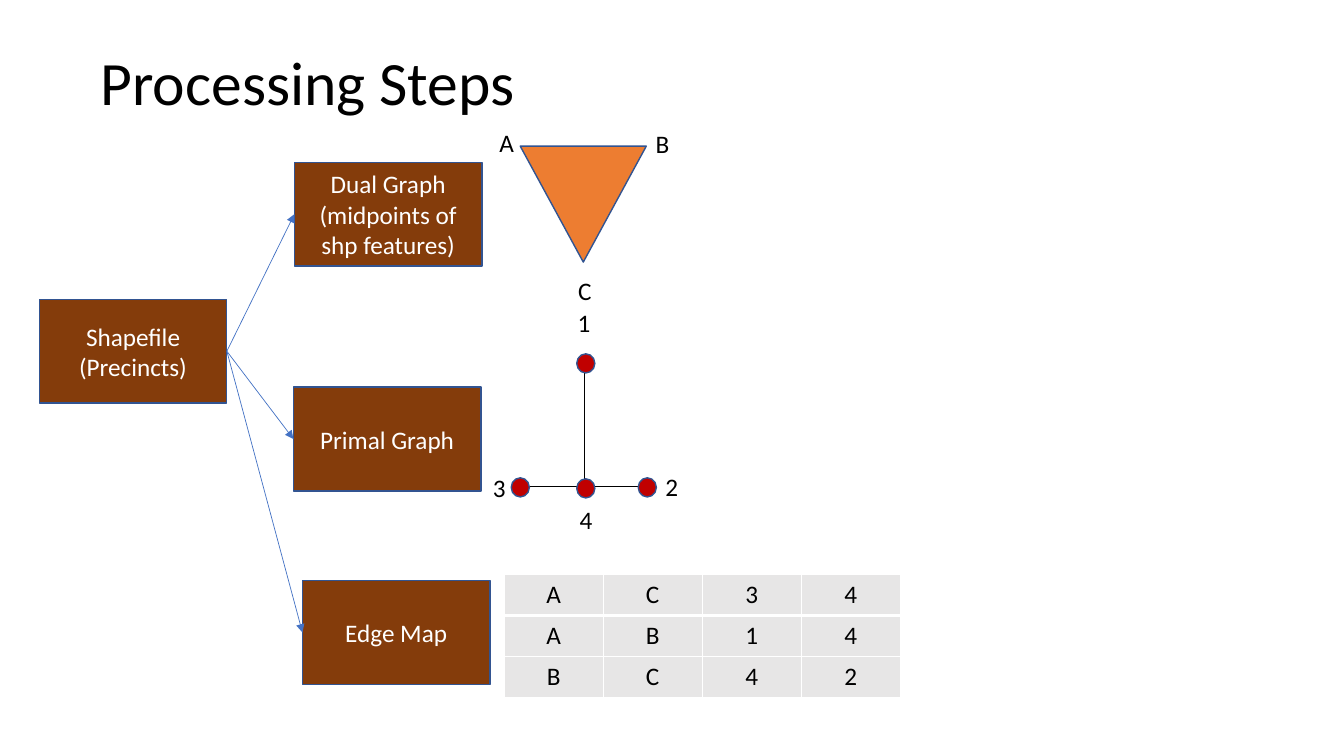
"""Build the Processing Steps slide with its flow boxes, graphs and edge table."""
from dataclasses import dataclass

from lxml import etree
from pptx import Presentation
from pptx.dml.color import RGBColor
from pptx.enum.shapes import MSO_CONNECTOR, MSO_SHAPE
from pptx.enum.text import MSO_ANCHOR, PP_ALIGN
from pptx.oxml.ns import qn
from pptx.util import Inches, Pt

STRAIGHT = MSO_CONNECTOR.STRAIGHT
RECTANGLE, OVAL, TRIANGLE = MSO_SHAPE.RECTANGLE, MSO_SHAPE.OVAL, MSO_SHAPE.ISOSCELES_TRIANGLE
MIDDLE = MSO_ANCHOR.MIDDLE
LEFT, CENTER = PP_ALIGN.LEFT, PP_ALIGN.CENTER
LEFT_SITE, RIGHT_SITE = 1, 3

COLORS = {
    "black": "000000",
    "white": "FFFFFF",
    "brown": "843C0B",
    "outline": "325491",
    "arrow": "4472C4",
    "cell": "E7E6E6",
    "node": "C00000",
    "feature": "ED7D31",
}
BODY_FORMAT = {"name": "Calibri", "size": Pt(18), "bold": False}
TITLE_FORMAT = {**BODY_FORMAT, "size": Pt(44)}
BOX_SIZE = (1.86, 1.03)
NODE_SIZE = (0.18, 0.19)


@dataclass(frozen=True)
class Step:
    left: float
    top: float
    lines: tuple[str, ...]


@dataclass(frozen=True)
class Label:
    text: str
    left: float
    top: float
    width: float = 0.33
    align: PP_ALIGN = LEFT
    wrap: bool = True


@dataclass(frozen=True)
class Edge:
    begin: tuple[float, float]
    end: tuple[float, float]


SOURCE = Step(0.39, 2.97, ("Shapefile", "(Precincts)"))
RESULTS = [
    Step(3, 5.76, ("Edge Map",)),
    Step(2.91, 3.84, ("Primal Graph",)),
    Step(2.92, 1.61, ("Dual Graph", "(midpoints of shp features)")),
]
EDGES = [Edge((5.8, 3.58), (5.8, 4.83)), Edge((5.18, 4.83), (6.43, 4.83))]
NODES = [(5.72, 4.75), (5.07, 4.74), (5.72, 3.51), (6.33, 4.74)]
LABELS = [
    Label("1", 5.63, 3),
    Label("4", 5.65, 4.95),
    Label("3", 4.79, 4.64),
    Label("2", 6.5, 4.63),
    Label("A", 4.85, 1.21, 0.35, CENTER, False),
    Label("B", 6.4, 1.22, 0.34, CENTER, False),
    Label("C", 5.63, 2.68, 0.34, CENTER, False),
]
EDGE_MAP = ["AC34", "AB14", "BC42"]


def color(name: str) -> RGBColor:
    return RGBColor.from_string(COLORS[name])


def write(frame, lines, tone="black", align=LEFT, values=BODY_FORMAT) -> None:
    for index, line in enumerate(lines):
        para = frame.add_paragraph() if index else frame.paragraphs[0]
        para.alignment = align
        span = para.add_run()
        span.text = line
        span.font.color.rgb = color(tone)
        for name, value in values.items():
            setattr(span.font, name, value)


def add_figure(page, kind, place, size, fill: str):
    figure = page.shapes.add_shape(kind, *map(Inches, place + size))
    figure.shadow.inherit = False
    figure.fill.solid()
    figure.fill.fore_color.rgb = color(fill)
    figure.line.color.rgb = color("outline")
    figure.line.width = Pt(1)
    return figure


def add_step(page, step: Step):
    box = add_figure(page, RECTANGLE, (step.left, step.top), BOX_SIZE, "brown")
    box.text_frame.word_wrap = True
    box.text_frame.vertical_anchor = MIDDLE
    write(box.text_frame, step.lines, "white", CENTER)
    return box


def add_line(page, edge: Edge, tone: str):
    line = page.shapes.add_connector(STRAIGHT, *map(Inches, edge.begin + edge.end))
    line.line.color.rgb = color(tone)
    line.line.width = Pt(0.5)
    etree.SubElement(line.get_or_add_ln().getparent(), qn("a:effectLst"))
    return line


def add_arrow(page, source, target) -> None:
    arrow = add_line(page, Edge((0, 0), (1, 1)), "arrow")
    arrow.begin_connect(source, RIGHT_SITE)
    arrow.end_connect(target, LEFT_SITE)
    etree.SubElement(arrow.get_or_add_ln(), qn("a:tailEnd"), type="triangle")


def add_label(page, label: Label) -> None:
    box = page.shapes.add_textbox(*map(Inches, (label.left, label.top, label.width, 0.4)))
    box.text_frame.word_wrap = label.wrap
    write(box.text_frame, [label.text], align=label.align)


def add_border(cell, side: str, points: float) -> None:
    border = etree.SubElement(cell._tc.get_or_add_tcPr(), qn(f"a:ln{side}"), w=str(Pt(points)))
    fill = etree.SubElement(border, qn("a:solidFill"))
    etree.SubElement(fill, qn("a:srgbClr"), val=COLORS["white"])


def add_edge_map(page) -> None:
    size = (len(EDGE_MAP), len(EDGE_MAP[0]))
    table = page.shapes.add_table(*size, *map(Inches, (5, 5.7, 3.93, 1.22))).table
    for row, texts in enumerate(EDGE_MAP):
        for column, text in enumerate(texts):
            cell = table.cell(row, column)
            widths = {"L": 1, "R": 1, "T": 3 if row == 1 else 1, "B": 3 if row == 0 else 1}
            for side, points in widths.items():
                add_border(cell, side, points)
            cell.fill.solid()
            cell.fill.fore_color.rgb = color("cell")
            write(cell.text_frame, [text], align=CENTER)


def add_title(page) -> None:
    box = page.shapes.add_textbox(*map(Inches, (0.9, 0.12, 11.5, 1.45)))
    box.text_frame.word_wrap = True
    box.text_frame.vertical_anchor = MIDDLE
    write(box.text_frame, ["Processing Steps"], values=TITLE_FORMAT)
    box.text_frame.paragraphs[0].line_spacing = 0.9


def main() -> None:
    deck = Presentation()
    deck.slide_width, deck.slide_height = Inches(13.33), Inches(7.5)
    page = deck.slides.add_slide(deck.slide_layouts[6])
    add_title(page)
    source = add_step(page, SOURCE)
    for result in RESULTS:
        add_arrow(page, source, add_step(page, result))
    add_edge_map(page)
    for edge in EDGES:
        add_line(page, edge, "black")
    for place in NODES:
        add_figure(page, OVAL, place, NODE_SIZE, "node")
    add_figure(page, TRIANGLE, (5.16, 1.45), (1.25, 1.15), "feature").rotation = 180
    for label in LABELS:
        add_label(page, label)
    deck.save("out.pptx")


if __name__ == "__main__":
    main()
